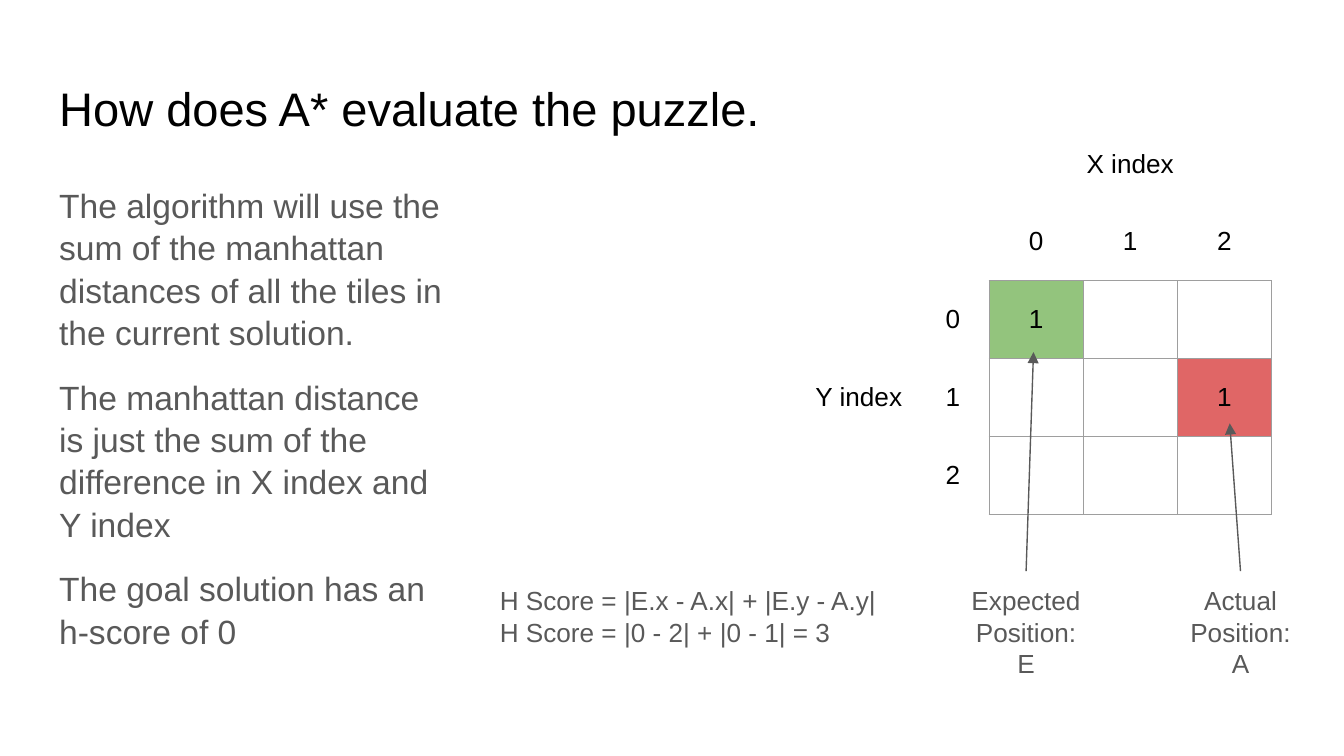
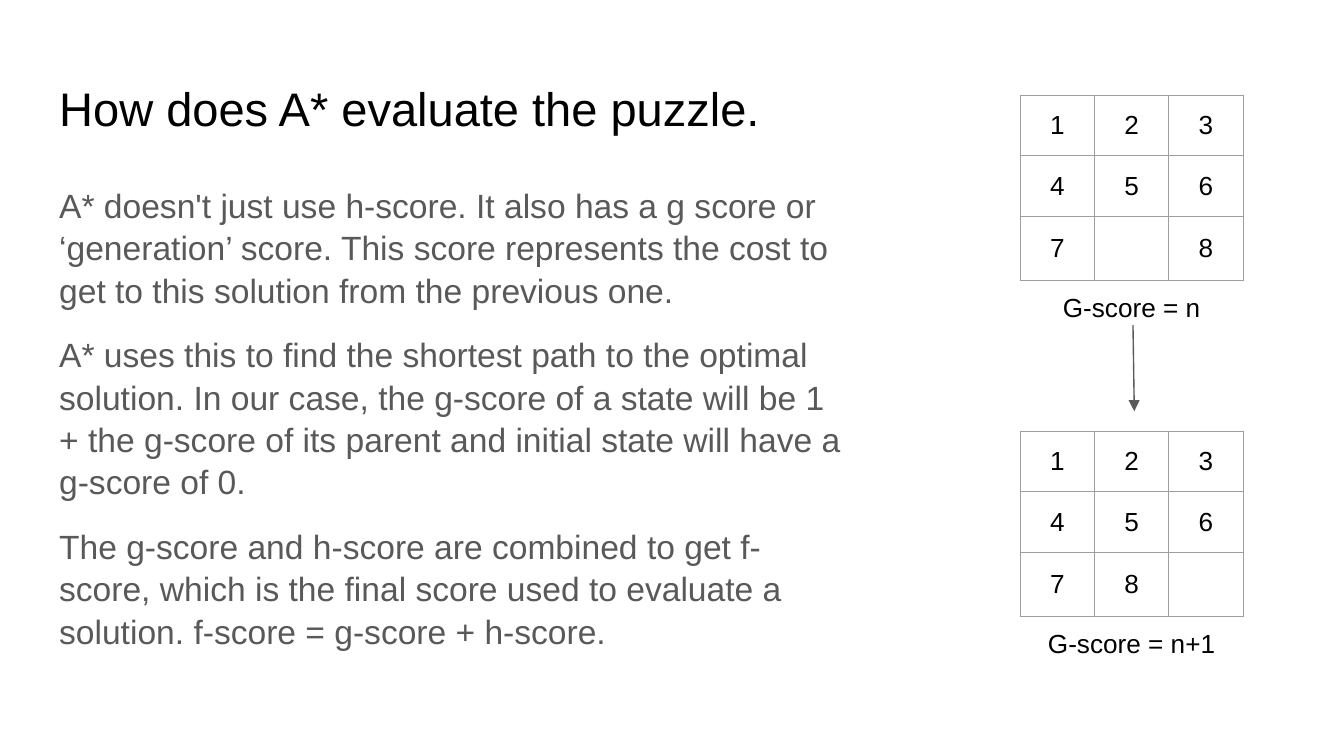
from pptx import Presentation
from pptx import util as u
from pptx.dml.color import RGBColor
from pptx.enum import shapes, text
from pptx.oxml import ns, xmlchemy

INK = RGBColor(0x00, 0x00, 0x00)
GREY = RGBColor(0x59, 0x59, 0x59)
RULE = RGBColor(0x9E, 0x9E, 0x9E)
GREEN = RGBColor(0x93, 0xC4, 0x7D)
RED = RGBColor(0xE0, 0x66, 0x66)
PLAIN = "{2D5ABB26-0587-4C30-8999-92F81FD0307C}"
TITLE = "How does A* evaluate the puzzle."
LEFT, MID = text.PP_ALIGN.LEFT, text.PP_ALIGN.CENTER
FRAME = {"word_wrap": True, "auto_size": text.MSO_AUTO_SIZE.NONE,
         "vertical_anchor": text.MSO_ANCHOR.TOP,
         **{f"margin_{side}": u.Inches(0.1) for side in ("left", "top", "right", "bottom")}}


def apply(item, looks):
    """Set each attribute of an item from a dict."""
    for name, value in looks.items():
        setattr(item, name, value)


def node(parent, tag, **attrs):
    """Append an XML child with attributes and return it."""
    child = xmlchemy.OxmlElement(tag)
    for name, value in attrs.items():
        child.set(name, value)
    parent.append(child)
    return child


def place(shape, box):
    """Move a shape to a box in inches."""
    apply(shape, dict(zip(("left", "top", "width", "height"), map(u.Inches, box))))


def write(frame, lines, size, color, align=LEFT, space=1.0, gap=0):
    """Fill a text frame with paragraphs of one look."""
    apply(frame, FRAME)
    for i, line in enumerate(lines):
        para = frame.add_paragraph() if i else frame.paragraphs[0]
        apply(para, {"alignment": align, "line_spacing": space,
                     "space_before": u.Pt(gap if i else 0), "space_after": u.Pt(0)})
        run = para.add_run()
        run.text = line
        apply(run.font, {"name": "Arial", "size": u.Pt(size), "bold": False})
        run.font.color.rgb = color


def start(deck, lines, width):
    """Add a slide with the shared title and its body text."""
    slide = deck.slides.add_slide(deck.slide_layouts[1])
    title, body = slide.placeholders
    place(title, (0.34, 0.49, 9.32, 0.63))
    write(title.text_frame, [TITLE], 25.2, INK)
    place(body, (0.34, 1.26, width, 3.74))
    write(body.text_frame, lines, 18, GREY, space=1.05, gap=12)
    paras = body.text_frame.paragraphs
    paras[-1].space_after = u.Pt(12)
    for para in paras:
        props = para._p.get_or_add_pPr()
        props.set("marL", "0")
        props.set("indent", "0")
        node(props, "a:buNone")
    return slide


def label(slide, box, lines, align=MID):
    """Add a small grey text box."""
    shape = slide.shapes.add_textbox(*map(u.Inches, box))
    write(shape.text_frame, lines, 14, GREY, align)
    return shape


def arrow(slide, tail, head, base=None):
    """Draw an arrow, joined to the top of a base shape if given."""
    line = slide.shapes.add_connector(
        shapes.MSO_CONNECTOR.STRAIGHT, *map(u.Inches, tail + head))
    if base is not None:
        line.begin_connect(base, 0)
    line.line.color.rgb = GREY
    line.line.width = u.Pt(0.75)
    node(line.line._get_or_add_ln(), "a:tailEnd", type="triangle")
    node(line._element.spPr, "a:effectLst")


def border(cell):
    """Rule all four sides of a cell."""
    props = cell._tc.get_or_add_tcPr()
    for i, side in enumerate("LRTB"):
        edge = node(props, f"a:ln{side}", w=str(u.Pt(0.75)))
        node(node(edge, "a:solidFill"), "a:srgbClr", val=str(RULE))
        props.insert(i, edge)


def table(slide, spot, cols, rows, words, ruled):
    """Add a plain table, with borders on the cells that ruled accepts."""
    frame = slide.shapes.add_table(
        len(rows), len(cols), *map(u.Inches, (*spot, sum(cols), sum(rows))))
    frame._element.find(".//" + ns.qn("a:tableStyleId")).text = PLAIN
    grid = frame.table
    apply(grid, {"first_row": False, "horz_banding": False})
    for col, width in zip(grid.columns, cols):
        col.width = u.Inches(width)
    for row, height in zip(grid.rows, rows):
        row.height = u.Inches(height)
    for r, line in enumerate(words):
        for c, word in enumerate(line):
            cell = grid.cell(r, c)
            cell.fill.background()
            cell.vertical_anchor = text.MSO_ANCHOR.MIDDLE
            apply(cell, {k: v for k, v in FRAME.items() if k.startswith("margin")})
            para = cell.text_frame.paragraphs[0]
            if word:
                para.alignment = MID
                run = para.add_run()
                run.text = word
                apply(run.font, {"name": "Arial", "size": u.Pt(14)})
                run.font.color.rgb = INK
            else:
                node(para._p, "a:endParaRPr", sz="1650")
            if ruled(r, c):
                border(cell)
    return grid


def index(slide, spot):
    """Add the indexed grid with its two marked cells."""
    words = [["", "", "X index", "", ""], ["", "", "0", "1", "2"],
             ["Y index", "0", "1", "", ""], ["", "1", "", "", "1"],
             ["", "2", "", "", ""]]
    grid = table(slide, spot, [0.86, 0.54] + [0.7] * 3, [0.57] + [0.58] * 4,
                 words, lambda r, c: r > 1 and c > 1)
    grid.cell(0, 2).merge(grid.cell(0, 4))
    grid.cell(2, 0).merge(grid.cell(4, 0))
    for mark, color in (((2, 2), GREEN), ((3, 4), RED)):
        fill = grid.cell(*mark).fill
        fill.solid()
        fill.fore_color.rgb = color


def state(slide, spot, tiles, note):
    """Add a puzzle state with its score below."""
    words = [[tile.strip("-") for tile in line] for line in tiles] + [[note, "", ""]]
    grid = table(slide, spot, [1.66 / 3] * 3, [0.45] * 4, words, lambda r, c: r < 3)
    grid.cell(3, 0).merge(grid.cell(3, 2))
    grid.cell(3, 0).vertical_anchor = text.MSO_ANCHOR.TOP


def h_score(deck):
    """Build the slide on the h-score."""
    slide = start(deck, [
        "The algorithm will use the sum of the manhattan distances of all the tiles "
        "in the current solution.",
        "The manhattan distance is just the sum of the difference in X index and Y index",
        "The goal solution has an h-score of 0"], 3.09)
    index(slide, (5.96, 0.94))
    top, high = 4.25, 0.84
    real = label(slide, (8.62, top, 1.22, high), ["Actual Position:", "A"])
    goal = label(slide, (6.9, top, 1.47, high), ["Expected Position:", "E"])
    arrow(slide, (7.63, top), (7.69, 2.62), goal)
    arrow(slide, (9.23, top), (9.15, 3.15), real)
    label(slide, (3.62, top, 3.09, high),
          ["H Score = |E.x - A.x| + |E.y - A.y|", "H Score = |0 - 2| + |0 - 1| = 3"], LEFT)


def g_score(deck):
    """Build the slide on the g-score."""
    slide = start(deck, [
        "A* doesn't just use h-score. It also has a g score or ‘generation’ score. "
        "This score represents the cost to get to this solution from the previous one.",
        "A* uses this to find the shortest path to the optimal solution. In our case, "
        "the g-score of a state will be 1 + the g-score of its parent and initial state "
        "will have a g-score of 0.",
        "The g-score and h-score are combined to get f-score, which is the final score "
        "used to evaluate a solution. f-score = g-score + h-score."], 6.08)
    state(slide, (7.59, 0.71), ("123", "456", "7-8"), "G-score = n")
    state(slide, (7.59, 3.21), ("123", "456", "78-"), "G-score = n+1")
    arrow(slide, (8.43, 2.42), (8.44, 3.06))


def main():
    """Build and save the deck."""
    deck = Presentation()
    wide = u.Inches(10)
    apply(deck, {"slide_width": wide, "slide_height": wide * 9 // 16})
    h_score(deck)
    g_score(deck)
    deck.save("out.pptx")


if __name__ == "__main__":
    main()
